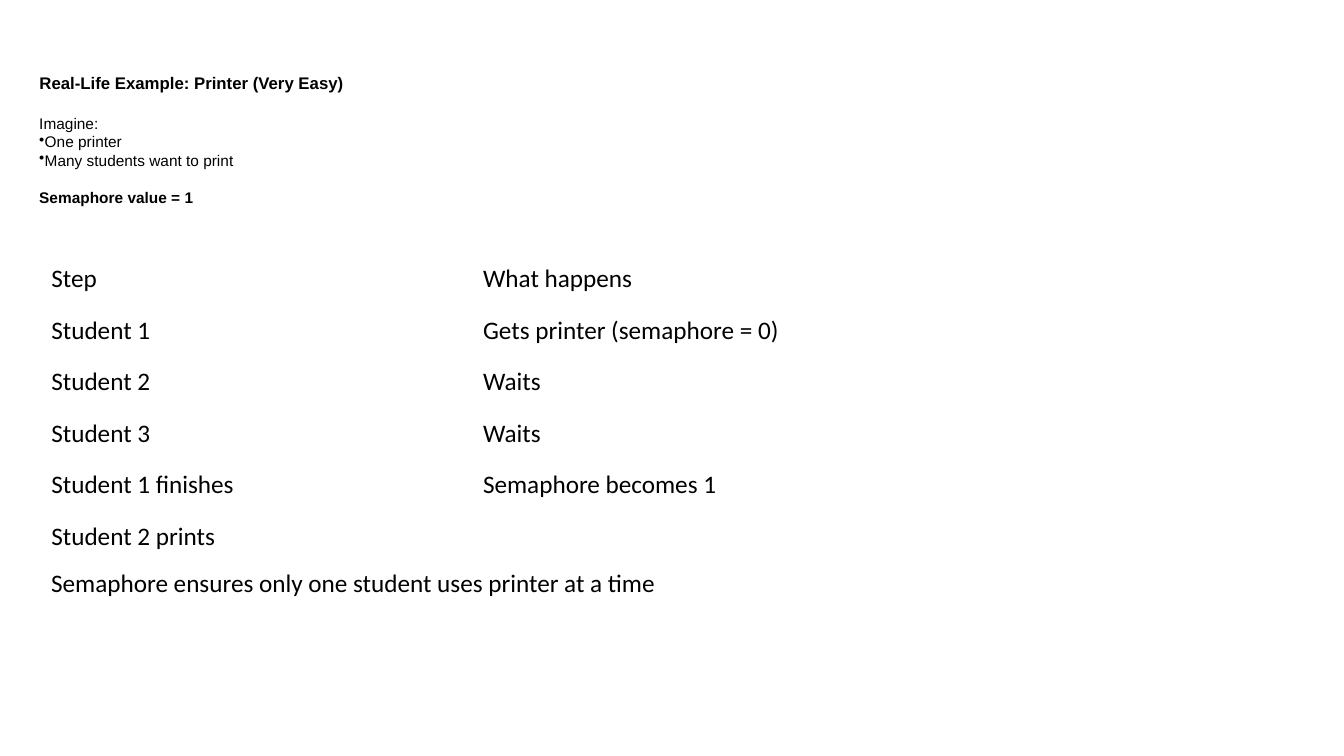
from lxml.etree import SubElement
from pptx import Presentation
from pptx.dml.color import RGBColor
from pptx.enum.text import MSO_ANCHOR, MSO_AUTO_SIZE, PP_ALIGN
from pptx.oxml.ns import qn
from pptx.util import Cm, Pt

BLACK = RGBColor(0x00, 0x00, 0x00)
HEADING = {"name": "Arial", "size": Pt(12), "bold": True}
BODY = {"name": "Arial", "size": Pt(11), "bold": False}
STRONG = {**BODY, "bold": True}
LARGE = {"name": "Calibri", "size": Pt(18), "bold": False}

STEPS = [
    ("Step", "What happens"),
    ("Student 1", "Gets printer (semaphore = 0)"),
    ("Student 2", "Waits"),
    ("Student 3", "Waits"),
    ("Student 1 finishes", "Semaphore becomes 1"),
    ("Student 2 prints", ""),
]
INTRO = [
    ("Imagine:", BODY, False, 0),
    ("One printer", BODY, True, 0),
    ("Many students want to print", BODY, True, 0),
    ("Semaphore value = 1", STRONG, False, 13.5),
]


def write(p, text, font, bullet=False, before=0):
    """Fill a paragraph with one formatted run."""
    p.alignment = PP_ALIGN.LEFT
    p.space_before = Pt(before)
    if bullet:
        SubElement(p._p.get_or_add_pPr(), qn("a:buChar")).set("char", "•")
    r = p.add_run()
    r.text = text
    for key, value in font.items():
        setattr(r.font, key, value)
    r.font.color.rgb = BLACK


def add_title(slide, text, left, top, width, height):
    """Place and format the title placeholder."""
    sp = slide.shapes.title
    for key, value in dict(left=left, top=top, width=width, height=height).items():
        setattr(sp, key, value)
    tf = sp.text_frame
    tf.auto_size = MSO_AUTO_SIZE.NONE
    tf.vertical_anchor = MSO_ANCHOR.MIDDLE
    write(tf.paragraphs[0], text, HEADING)


def add_text(slide, lines, left, top, width, height):
    """Add a wrapped text box with one paragraph per line."""
    tf = slide.shapes.add_textbox(left, top, width, height).text_frame
    tf.word_wrap = True
    for i, line in enumerate(lines):
        write(tf.add_paragraph() if i else tf.paragraphs[0], *line)


def add_steps(slide, rows, left, top, width, height):
    """Add a plain table without fills or banding."""
    table = slide.shapes.add_table(len(rows), len(rows[0]), left, top, width, height).table
    table.first_row = table.horz_banding = False
    for i, row in enumerate(rows):
        for j, text in enumerate(row):
            cell = table.cell(i, j)
            cell.fill.background()
            cell.vertical_anchor = MSO_ANCHOR.MIDDLE
            if text:
                write(cell.text_frame.paragraphs[0], text, LARGE)


def main():
    """Build the semaphore example slide."""
    prs = Presentation()
    prs.slide_width, prs.slide_height = Cm(33.87), Cm(19.05)
    slide = prs.slides.add_slide(prs.slide_layouts[5])
    add_title(slide, "Real-Life Example: Printer (Very Easy)", Cm(0.74), Cm(1.7), Cm(31.22), Cm(0.75))
    add_steps(slide, STEPS, Cm(1.04), Cm(6.38), Cm(21.76), Cm(7.8))
    add_text(slide, INTRO, Cm(0.74), Cm(2.75), Cm(31.22), Cm(2.6))
    summary = "Semaphore ensures only one student uses printer at a time"
    add_text(slide, [(summary, LARGE)], Cm(1.04), Cm(14.18), Cm(24.36), Cm(1.03))
    prs.save("out.pptx")


if __name__ == "__main__":
    main()
